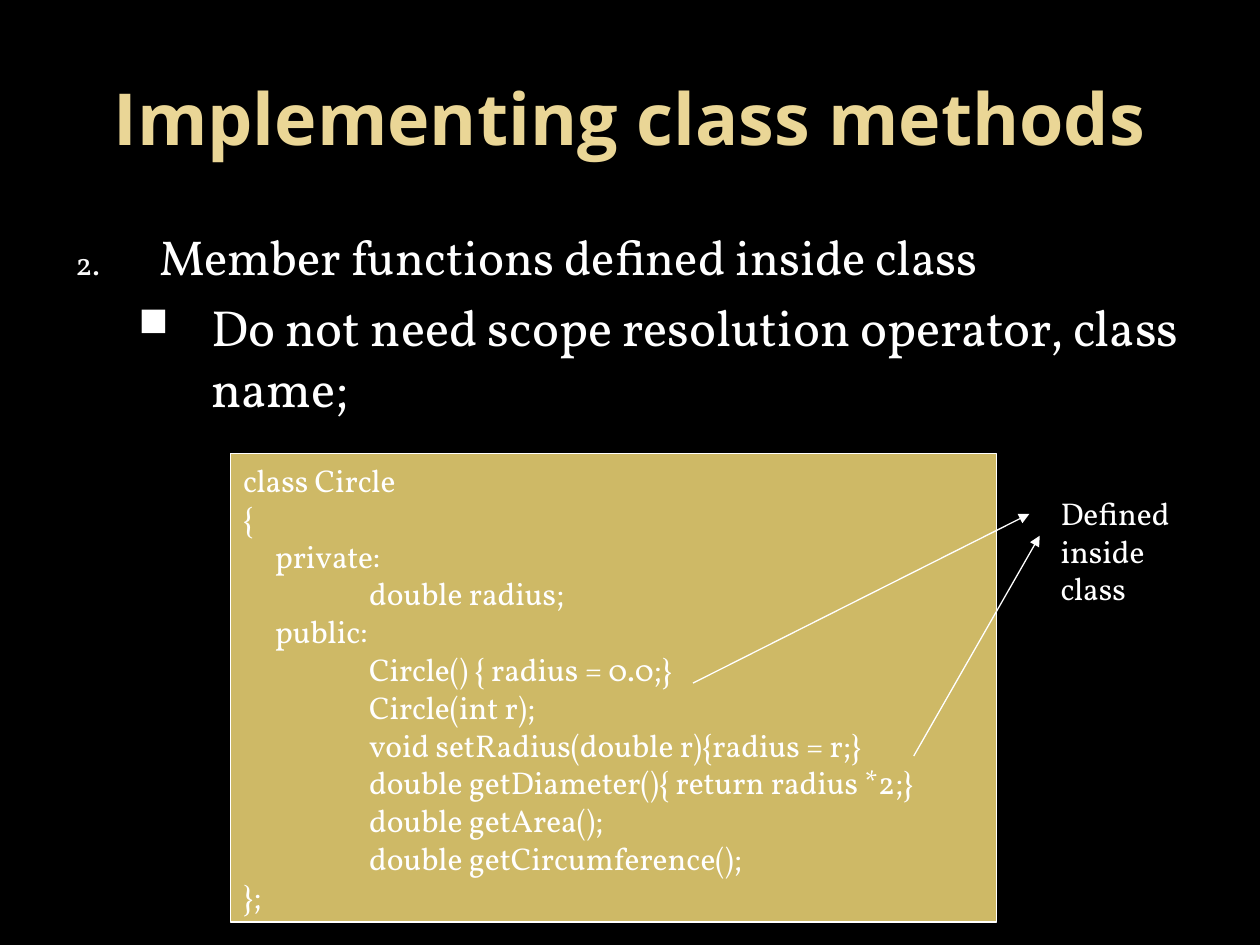
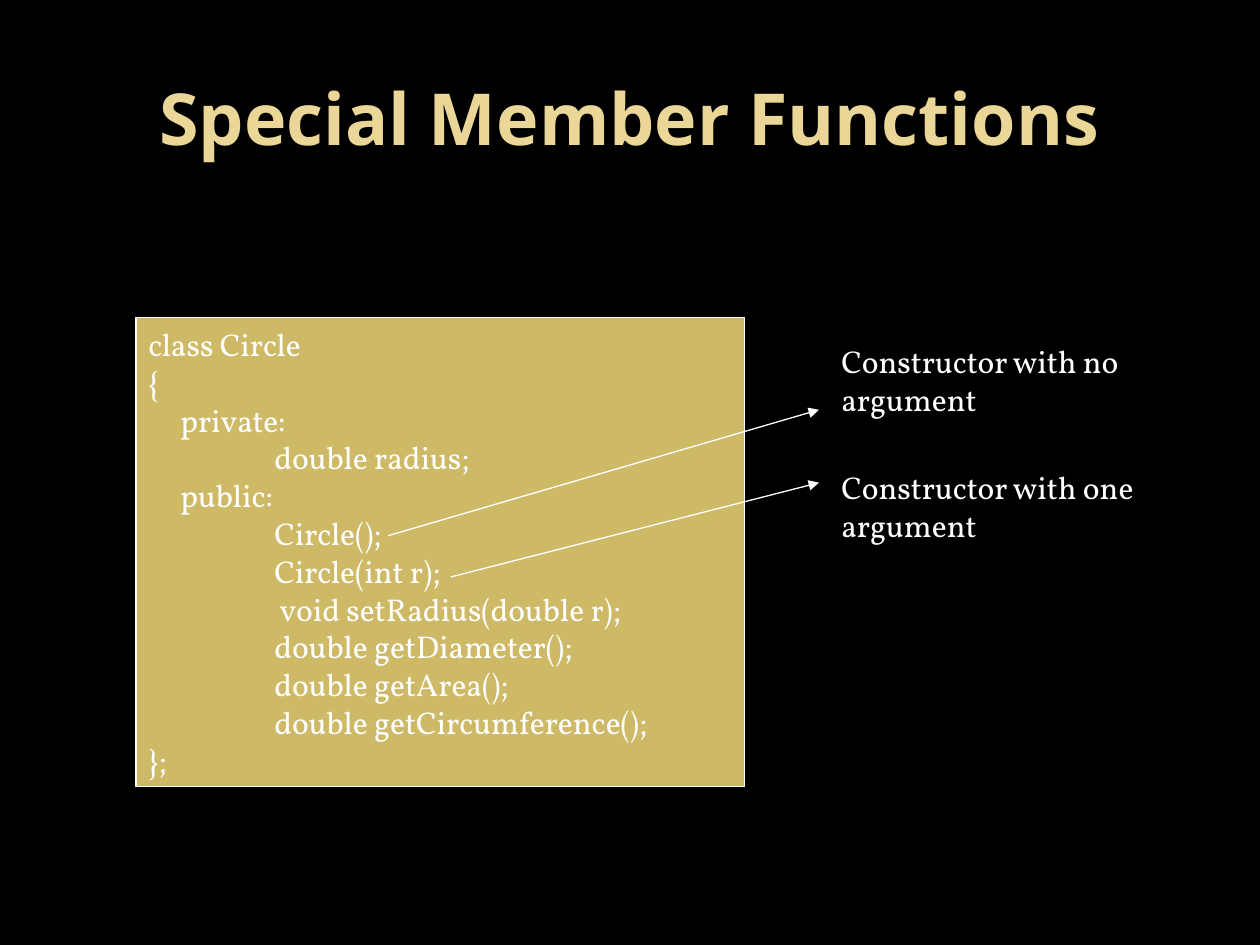
from dataclasses import dataclass

from lxml import etree
from pptx import Presentation
from pptx import util as u
from pptx.dml.color import RGBColor
from pptx.enum import shapes, text
from pptx.oxml.ns import qn

# Shared look
BLACK = RGBColor(0x00, 0x00, 0x00)
WHITE = RGBColor(0xFF, 0xFF, 0xFF)
OFF_WHITE = RGBColor(0xF9, 0xF9, 0xF9)
GOLD = RGBColor(0xCE, 0xB9, 0x66)
PALE_GOLD = RGBColor(0xEA, 0xD6, 0x96)
HEAD_FONT, BODY_FONT = "Open Sans", "Vollkorn"
LINE_WIDTH = u.Pt(0.75)
SECTION, MEMBER = 0.64, 2.54  # code indents in cm
CODE_HEIGHT = 9.45


@dataclass
class Box:
    left: float
    top: float
    width: float
    height: float

    def lengths(self) -> list:
        return [u.Cm(v) for v in (self.left, self.top, self.width, self.height)]


@dataclass
class Arrow:
    x1: float
    y1: float
    x2: float
    y2: float


@dataclass
class Note:
    text: str
    box: Box


@dataclass
class CodeLine:
    text: str
    indent: float = 0


@dataclass
class Bullet:
    text: str
    size: float
    margin: float
    hanging: float
    color: RGBColor
    percent: int
    tag: str
    attributes: dict


TITLE_BOX = Box(1.27, 0.76, 22.86, 3.18)
BODY_BOX = Box(1.27, 4.45, 22.86, 13.08)


def write(p, words: str, *, size: float = 18, font: str = BODY_FONT,
          color: RGBColor = WHITE, bold: bool = False,
          align=text.PP_ALIGN.LEFT, margin: float = 0, hanging: float = 0) -> None:
    """Put one formatted run into a paragraph."""
    r = p.add_run()
    r.text = words
    r.font.size, r.font.name, r.font.bold = u.Pt(size), font, bold
    r.font.color.rgb = color
    p.alignment = align
    pPr = p._p.get_or_add_pPr()
    pPr.set("marL", str(u.Cm(margin)))
    pPr.set("indent", str(-u.Cm(hanging)))


def add_paragraph(tf, i: int):
    return tf.add_paragraph() if i else tf.paragraphs[0]


def add_text_box(s, box: Box, *, anchor=text.MSO_ANCHOR.TOP):
    tf = s.shapes.add_textbox(*box.lengths()).text_frame
    tf.word_wrap = True
    tf.vertical_anchor = anchor
    return tf


def add_slide(prs, title: str):
    s = prs.slides.add_slide(prs.slide_layouts[6])
    s.background.fill.solid()
    s.background.fill.fore_color.rgb = BLACK
    tf = add_text_box(s, TITLE_BOX, anchor=text.MSO_ANCHOR.MIDDLE)
    write(tf.paragraphs[0], title, size=41, font=HEAD_FONT, color=PALE_GOLD,
          bold=True, align=text.PP_ALIGN.CENTER)
    return s


def add_bullets(s, bullets: list[Bullet]) -> None:
    tf = add_text_box(s, BODY_BOX)
    for i, b in enumerate(bullets):
        p = add_paragraph(tf, i)
        write(p, b.text, size=b.size, margin=b.margin, hanging=b.hanging)
        p.space_before = u.Pt(round(b.size * 0.2, 1))
        pPr = p._p.get_or_add_pPr()
        clr = etree.SubElement(pPr, qn("a:buClr"))
        etree.SubElement(clr, qn("a:srgbClr"), val=str(b.color))
        etree.SubElement(pPr, qn("a:buSzPct"), val=str(b.percent * 1000))
        etree.SubElement(pPr, qn(b.tag), b.attributes)


def add_code(s, box: Box, members: list[CodeLine]) -> None:
    """Draw the panel with the Circle class and its public members."""
    sp = s.shapes.add_shape(shapes.MSO_SHAPE.RECTANGLE, *box.lengths())
    sp.shadow.inherit = False
    sp.fill.solid()
    sp.fill.fore_color.rgb = GOLD
    sp.line.color.rgb = WHITE
    sp.line.width = LINE_WIDTH
    tf = sp.text_frame
    tf.word_wrap = True
    tf.vertical_anchor = text.MSO_ANCHOR.MIDDLE
    lines = [CodeLine("class Circle"), CodeLine("{"),
             CodeLine("private:", SECTION), CodeLine("double radius;", MEMBER),
             CodeLine("public:", SECTION), *members,
             CodeLine("double getArea();", MEMBER),
             CodeLine("double getCircumference();", MEMBER), CodeLine("};")]
    for i, line in enumerate(lines):
        write(add_paragraph(tf, i), line.text, margin=line.indent)


def add_arrow(s, arrow: Arrow) -> None:
    ends = (u.Cm(v) for v in (arrow.x1, arrow.y1, arrow.x2, arrow.y2))
    cxn = s.shapes.add_connector(shapes.MSO_CONNECTOR.STRAIGHT, *ends)
    cxn.line.color.rgb = WHITE
    cxn.line.width = LINE_WIDTH
    etree.SubElement(cxn.line._get_or_add_ln(), qn("a:tailEnd"), type="triangle")
    etree.SubElement(cxn._element.spPr, qn("a:effectLst"))


def add_callouts(s, arrows: list[Arrow], notes: list[Note]) -> None:
    for arrow in arrows:
        add_arrow(s, arrow)
    for note in notes:
        write(add_text_box(s, note.box).paragraphs[0], note.text)


def main() -> None:
    prs = Presentation()
    prs.slide_width, prs.slide_height = u.Cm(25.4), u.Cm(19.05)

    # Methods defined inside the class
    s = add_slide(prs, "Implementing class methods")
    add_bullets(s, [
        Bullet("Member functions defined inside class", 28, 1.7, 1.7, OFF_WHITE, 65,
               "a:buAutoNum", {"type": "arabicPeriod", "startAt": "2"}),
        Bullet("Do not need scope resolution operator, class name;", 29, 2.74, 1.47,
               WHITE, 80, "a:buChar", {"char": "■"}),
    ])
    add_code(s, Box(4.65, 9.14, 15.44, CODE_HEIGHT), [
        CodeLine("Circle() { radius = 0.0;}", MEMBER),
        CodeLine("Circle(int r);", MEMBER),
        CodeLine("void setRadius(double r){radius = r;}", MEMBER),
        CodeLine("double getDiameter(){ return radius *2;}", MEMBER),
    ])
    add_callouts(s, [Arrow(13.97, 13.77, 20.75, 10.36), Arrow(18.42, 15.24, 20.96, 10.8)],
                 [Note("Defined inside class", Box(21.13, 9.83, 3.23, 2.54))])

    # Constructors
    s = add_slide(prs, "Special Member Functions")
    add_code(s, Box(2.74, 6.4, 12.27, CODE_HEIGHT), [
        CodeLine("Circle();", MEMBER),
        CodeLine("Circle(int r);", MEMBER),
        CodeLine("void setRadius(double r);", MEMBER + 0.11),
        CodeLine("double getDiameter();", MEMBER),
    ])
    add_callouts(s, [Arrow(7.82, 10.8, 16.51, 8.26), Arrow(9.09, 11.63, 16.51, 9.73)],
                 [Note(f"Constructor with {count} argument",
                       Box(16.71, 6.78 + 2.54 * i, 7.04, 1.78))
                  for i, count in enumerate(("no", "one"))])

    prs.save("out.pptx")


if __name__ == "__main__":
    main()
